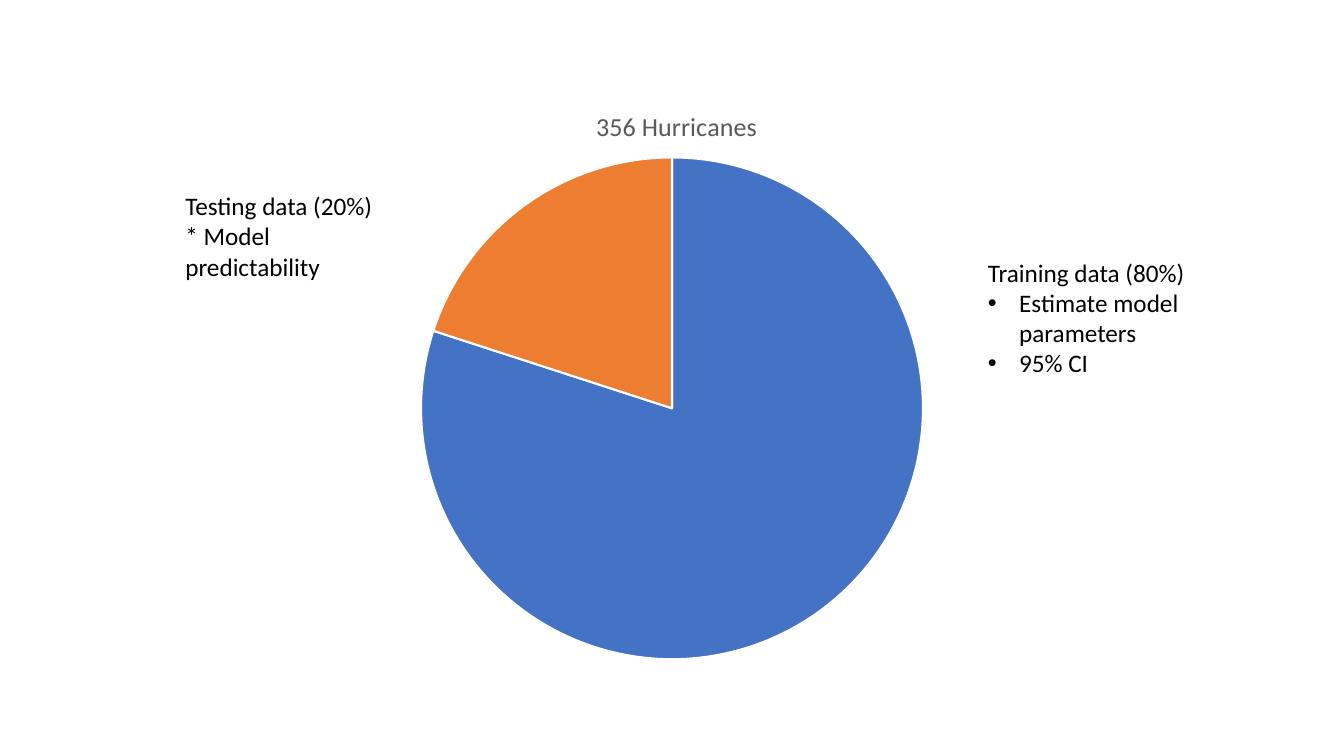
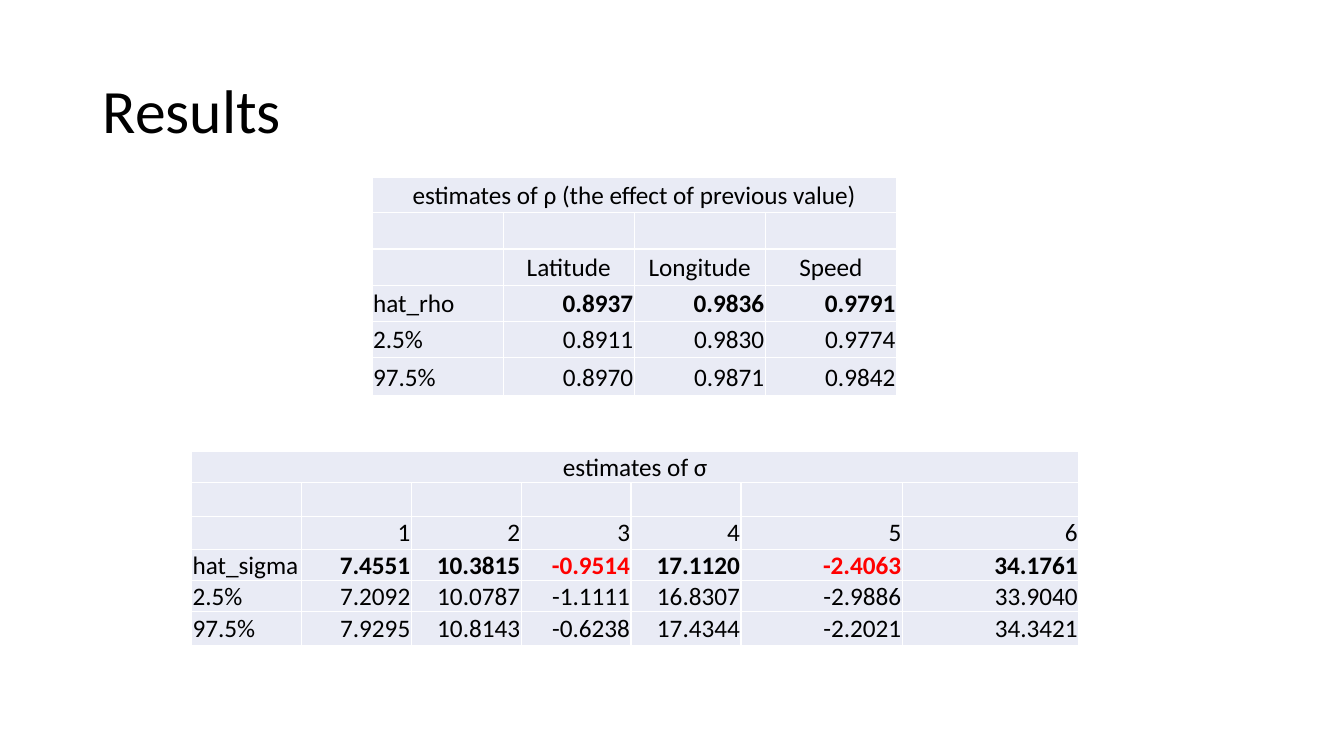
from lxml import etree
from pptx import Presentation
from pptx import util as u
from pptx.chart.data import CategoryChartData
from pptx.dml.color import RGBColor
from pptx.enum import chart as ch, text
from pptx.oxml import parse_xml
from pptx.oxml.ns import nsdecls, qn

FONT = "Calibri"
BLACK, WHITE, GRAY, RED = "000000", "FFFFFF", "595959", "FF0000"
BLUE, ORANGE, CELL = "4472C4", "ED7D31", "E9EBF5"
BODY, TITLE, CHART_TITLE = 18, 44, 18.6
ALIGN = text.PP_ALIGN


def rgb(code):
    return RGBColor.from_string(code)


def chart_layout(**parts):
    """Return a manual c:layout; parts are fractions of the chart area."""
    values = "".join(f'<c:{k} val="{v}"/>' for k, v in parts.items())
    return parse_xml(f'<c:layout {nsdecls("c")}><c:manualLayout>{values}'
                     '</c:manualLayout></c:layout>')


class Deck:
    def __init__(self):
        self.prs = Presentation()
        self.prs.slide_width = u.Inches(13.33)
        self.prs.slide_height = u.Inches(7.5)
        self.s = None

    def new_slide(self):
        self.s = self.prs.slides.add_slide(self.prs.slide_layouts[6])

    def run(self, p, words, size=BODY, color=BLACK, bold=False):
        r = p.add_run()
        r.text = words
        r.font.name = FONT
        r.font.size = u.Pt(size)
        r.font.bold = bold
        r.font.color.rgb = rgb(color)

    def bullet(self, p):
        pPr = p._p.get_or_add_pPr()
        indent = u.Inches(0.31)
        pPr.set("marL", str(indent))
        pPr.set("indent", str(-indent))
        etree.SubElement(pPr, qn("a:buFont")).set("typeface", "Arial")
        etree.SubElement(pPr, qn("a:buChar")).set("char", "•")

    def text_box(self, box, lines, bullets=(), size=BODY):
        sp = self.s.shapes.add_textbox(*map(u.Inches, box))
        tf = sp.text_frame
        tf.word_wrap = True
        for i, line in enumerate([*lines, *bullets]):
            p = tf.add_paragraph() if i else tf.paragraphs[0]
            if i >= len(lines):
                self.bullet(p)
            self.run(p, line, size)
        return tf

    def title(self, words):
        tf = self.text_box((0.92, 0.4, 11.5, 1.45), [words], size=TITLE)
        tf.vertical_anchor = text.MSO_ANCHOR.MIDDLE
        tf.paragraphs[0].line_spacing = 0.9

    def pie(self, box, title, shares, colors):
        data = CategoryChartData()
        data.categories = [str(i + 1) for i in range(len(shares))]
        data.add_series("Series 1", shares)
        chart = self.s.shapes.add_chart(
            ch.XL_CHART_TYPE.PIE, *map(u.Inches, box), data).chart
        chart.font.name = FONT
        chart.font.size = u.Pt(10)
        chart.has_legend = False
        chart.has_title = True
        heading = chart.chart_title
        self.run(heading.text_frame.paragraphs[0], title, CHART_TITLE, GRAY)
        heading.include_in_layout = False
        el = heading._element
        for old in el.findall(qn("c:layout")):
            el.remove(old)
        el.find(qn("c:tx")).addnext(
            chart_layout(xMode="edge", yMode="edge", x=0.41, y=0.04))
        plot_area = chart._chartSpace.find(".//" + qn("c:plotArea"))
        for old in plot_area.findall(qn("c:layout")):
            plot_area.remove(old)
        plot_area.insert(0, chart_layout(
            layoutTarget="inner", xMode="edge", yMode="edge",
            x=0.22, y=0.13, w=0.56, h=0.84))
        plot = chart.plots[0]
        plot.vary_by_categories = True
        for i, color in enumerate(colors):
            fmt = plot.series[0].points[i].format
            fmt.fill.solid()
            fmt.fill.fore_color.rgb = rgb(color)
            fmt.line.color.rgb = rgb(WHITE)
            fmt.line.width = u.Pt(1.5)

    def style_cell(self, cell):
        cell.vertical_anchor = text.MSO_ANCHOR.MIDDLE
        cell.margin_left = cell.margin_right = cell.margin_top = u.Inches(0.01)
        cell.margin_bottom = 0
        tcPr = cell._tc.get_or_add_tcPr()
        for side in ("lnL", "lnR", "lnT", "lnB"):
            tcPr.append(parse_xml(
                f'<a:{side} {nsdecls("a")} w="{u.Pt(1)}"><a:solidFill>'
                f'<a:srgbClr val="{WHITE}"/></a:solidFill></a:{side}>'))
        cell.fill.solid()
        cell.fill.fore_color.rgb = rgb(CELL)

    def estimates(self, left, top, widths, heights, caption, head, rows):
        """Draw a caption, a blank row, a header, a bold estimate and its limits."""
        grid = [[caption], [], ["", *head], *rows]
        table = self.s.shapes.add_table(
            len(grid), len(widths), u.Inches(left), u.Inches(top),
            u.Inches(sum(widths)), u.Inches(sum(heights))).table
        table.first_row = table.horz_banding = False
        for col, width in zip(table.columns, widths):
            col.width = u.Inches(width)
        for row, height in zip(table.rows, heights):
            row.height = u.Inches(height)
        for cell in table.iter_cells():
            self.style_cell(cell)
        table.cell(0, 0).merge(table.cell(0, len(widths) - 1))
        for i, row in enumerate(grid):
            for j, words in enumerate(row):
                if not words:
                    continue
                p = table.cell(i, j).text_frame.paragraphs[0]
                if words[-1].isdigit():
                    p.alignment = ALIGN.RIGHT
                else:
                    p.alignment = ALIGN.CENTER if i < 3 else ALIGN.LEFT
                bold = i == 3 and j > 0
                negative = bold and words.startswith("-")
                self.run(p, words, color=RED if negative else BLACK, bold=bold)


def main():
    deck = Deck()

    deck.new_slide()
    deck.pie((2.22, 0.79, 8.89, 5.93), "356 Hurricanes", (80, 20), (BLUE, ORANGE))
    deck.text_box((9.7, 2.5, 2.17, 1.31), ["Training data (80%)"],
                  ["Estimate model parameters", "95% CI"])
    deck.text_box((1.74, 1.84, 2.17, 1.01),
                  ["Testing data (20%)", "* Model predictability"])

    deck.new_slide()
    deck.title("Results")
    deck.estimates(
        3.69, 1.76, [1.3] * 4, [0.35] + [0.36] * 4 + [0.38],
        "estimates of ρ (the effect of previous value)",
        ["Latitude", "Longitude", "Speed"],
        [["hat_rho", "0.8937", "0.9836", "0.9791"],
         ["2.5%", "0.8911", "0.9830", "0.9774"],
         ["97.5%", "0.8970", "0.9871", "0.9842"]])
    deck.estimates(
        1.9, 4.48, [1.09] * 5 + [1.6, 1.75], [0.31, 0.33, 0.33] * 1 + [0.31, 0.31, 0.33],
        "estimates of σ", list("123456"),
        [["hat_sigma", "7.4551", "10.3815", "-0.9514", "17.1120", "-2.4063", "34.1761"],
         ["2.5%", "7.2092", "10.0787", "-1.1111", "16.8307", "-2.9886", "33.9040"],
         ["97.5%", "7.9295", "10.8143", "-0.6238", "17.4344", "-2.2021", "34.3421"]])

    deck.prs.save("out.pptx")


if __name__ == "__main__":
    main()
